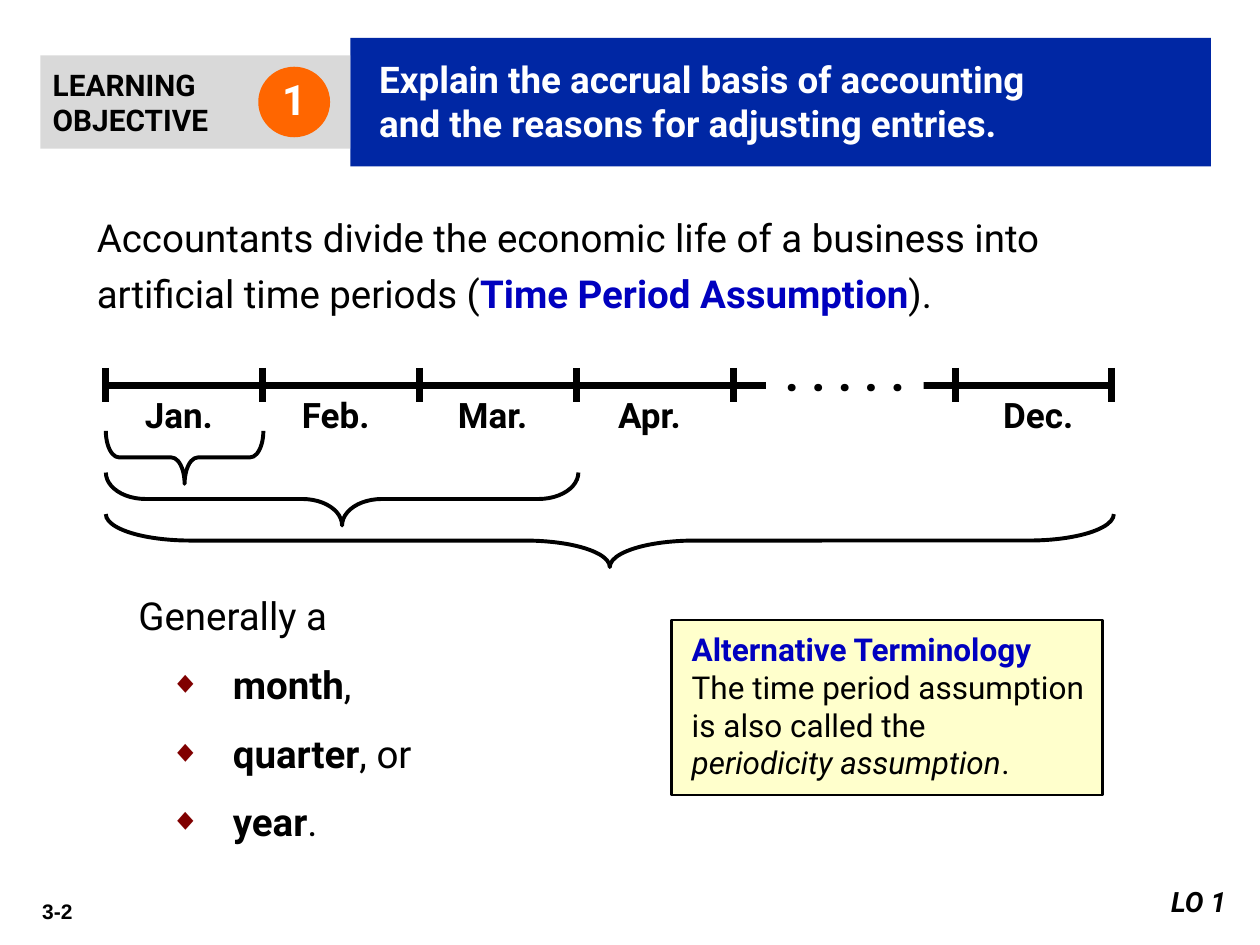
from dataclasses import dataclass

from lxml import etree
from pptx import Presentation
from pptx.dml.color import RGBColor
from pptx.enum.shapes import MSO_CONNECTOR, MSO_SHAPE
from pptx.enum.text import MSO_ANCHOR, MSO_AUTO_SIZE, PP_ALIGN
from pptx.oxml.ns import qn
from pptx.util import Inches, Pt

BLACK = RGBColor(0x00, 0x00, 0x00)
WHITE = RGBColor(0xFF, 0xFF, 0xFF)
NAVY = RGBColor(0x00, 0x27, 0xA4)
BLUE = RGBColor(0x00, 0x00, 0xBF)
GREY = RGBColor(0xD9, 0xD9, 0xD9)
ORANGE = RGBColor(0xFF, 0x66, 0x00)
CREAM = RGBColor(0xFF, 0xFF, 0xCC)

LEFT, CENTER, RIGHT = PP_ALIGN.LEFT, PP_ALIGN.CENTER, PP_ALIGN.RIGHT
TOP, MIDDLE = MSO_ANCHOR.TOP, MSO_ANCHOR.MIDDLE
NO_AUTOFIT = MSO_AUTO_SIZE.NONE
RECTANGLE, OVAL, BRACE = MSO_SHAPE.RECTANGLE, MSO_SHAPE.OVAL, MSO_SHAPE.LEFT_BRACE
STRAIGHT = MSO_CONNECTOR.STRAIGHT

AXIS_TOP, AXIS_Y, AXIS_BOTTOM = 2.92, 3.06, 3.19
AXIS_LEFT, DECEMBER_LEFT, MONTH_WIDTH = 0.84, 7.58, 1.245
BRACE_DEPTH = 0.42


@dataclass
class Span:
    text: str
    bold: bool = False
    italic: bool = False
    color: RGBColor | None = None


@dataclass
class Line:
    spans: list[Span]
    bullet: bool = False


@dataclass
class Style:
    size: float
    color: RGBColor = BLACK
    align: PP_ALIGN = LEFT
    anchor: MSO_ANCHOR = TOP
    insets: tuple = (0.1, 0.05, 0.1, 0.05)
    wrap: bool = True
    spacing: float = 1.0
    gap: float = 0
    font: str = "Roboto"


@dataclass
class Month:
    name: str
    left: float


@dataclass
class Period:
    width: float
    top: float
    curve: float


def add_bullet(para) -> None:
    properties = para._p.get_or_add_pPr()
    properties.set("marL", str(Inches(0.75)))
    properties.set("indent", str(Inches(-0.5)))
    color = etree.SubElement(properties, qn("a:buClr"))
    etree.SubElement(color, qn("a:srgbClr"), val="800000")
    etree.SubElement(properties, qn("a:buSzPct"), val="80000")
    etree.SubElement(properties, qn("a:buFont"), typeface="Arial")
    etree.SubElement(properties, qn("a:buChar"), char="◆")


def write(shape, lines: list[Line], style: Style) -> None:
    frame = shape.text_frame
    frame.auto_size = NO_AUTOFIT
    frame.word_wrap = style.wrap
    frame.vertical_anchor = style.anchor
    (frame.margin_left, frame.margin_top,
     frame.margin_right, frame.margin_bottom) = map(Inches, style.insets)
    for index, line in enumerate(lines):
        para = frame.paragraphs[0] if index == 0 else frame.add_paragraph()
        if line.bullet:
            add_bullet(para)
        para.alignment = style.align
        para.line_spacing = style.spacing
        para.space_before = Pt(style.gap if index else 0)
        for span in line.spans:
            run = para.add_run()
            run.text = span.text
            run.font.name = style.font
            run.font.size = Pt(style.size)
            run.font.bold = span.bold
            run.font.italic = span.italic
            run.font.color.rgb = span.color or style.color


def add_text(page, place: tuple, lines: list[Line], style: Style) -> None:
    write(page.shapes.add_textbox(*map(Inches, place)), lines, style)


def add_box(page, kind, place: tuple, fill: RGBColor, lines: list[Line],
            style: Style, border: float = 0) -> None:
    box = page.shapes.add_shape(kind, *map(Inches, place))
    box.shadow.inherit = False
    box.fill.solid()
    box.fill.fore_color.rgb = fill
    if border:
        box.line.color.rgb = BLACK
        box.line.width = Pt(border)
    else:
        box.line.fill.background()
    write(box, lines, style)


def add_line(page, start: tuple, end: tuple) -> None:
    line = page.shapes.add_connector(STRAIGHT, *map(Inches, start + end))
    line.line.color.rgb = BLACK
    line.line.width = Pt(4)
    etree.SubElement(line._element.spPr, qn("a:effectLst"))


def add_brace(page, period: Period) -> None:
    left = AXIS_LEFT + (period.width - BRACE_DEPTH) / 2
    top = period.top + (BRACE_DEPTH - period.width) / 2
    brace = page.shapes.add_shape(
        BRACE, *map(Inches, (left, top, BRACE_DEPTH, period.width)))
    brace.rotation = 270
    brace.adjustments[0] = period.curve
    brace.adjustments[1] = 0.5
    brace.shadow.inherit = False
    brace.fill.background()
    brace.line.color.rgb = BLACK
    brace.line.width = Pt(2.25)


def bold_lines(*texts: str) -> list[Line]:
    return [Line([Span(text, bold=True)]) for text in texts]


def add_header(page) -> None:
    title = page.shapes.title
    title.left, title.top, title.width, title.height = map(
        Inches, (2.78, 0.3, 6.83, 1.02))
    title.fill.solid()
    title.fill.fore_color.rgb = NAVY
    write(title, bold_lines("Explain the accrual basis of accounting",
                            "and the reasons for adjusting entries."),
          Style(21, WHITE, anchor=MIDDLE, insets=(0.23, 0.03, 0.1, 0.05)))
    add_box(page, RECTANGLE, (0.32, 0.44, 2.46, 0.74), GREY,
            bold_lines("LEARNING", "OBJECTIVE"),
            Style(17, anchor=MIDDLE, wrap=False))
    add_box(page, OVAL, (2.05, 0.53, 0.57, 0.56), ORANGE, bold_lines("1"),
            Style(24, WHITE, CENTER, MIDDLE, (0.09, 0, 0.09, 0.05)))


def add_timeline(page) -> None:
    add_line(page, (AXIS_LEFT, AXIS_Y), (DECEMBER_LEFT + MONTH_WIDTH, AXIS_Y))
    add_box(page, RECTANGLE, (6.08, 2.92, 1.25, 0.33), WHITE,
            bold_lines(". . . . ."),
            Style(28, align=CENTER, anchor=MIDDLE, wrap=False, spacing=0.15))
    ticks = [AXIS_LEFT + MONTH_WIDTH * index for index in range(5)]
    for x in ticks + [DECEMBER_LEFT, DECEMBER_LEFT + MONTH_WIDTH]:
        add_line(page, (x, AXIS_TOP), (x, AXIS_BOTTOM))
    months = [Month(name, tick + 0.16)
              for name, tick in zip(("Jan.", "Feb.", "Mar.", "Apr."), ticks)]
    for month in months + [Month("Dec.", 7.82)]:
        add_text(page, (month.left, 3.07, 0.84, 0.43), bold_lines(month.name),
                 Style(20, align=CENTER))
    for period in (Period(1.25, 3.42, 0.25), Period(3.75, 3.75, 0.75),
                   Period(8, 4.08, 1.6)):
        add_brace(page, period)


def add_body(page) -> None:
    body = Style(22, spacing=1.2, gap=7.5)
    add_text(page, (0.67, 1.58, 8.5, 0.99), [Line([
        Span("Accountants divide the economic life of a business into "
             "artificial time periods ("),
        Span("Time Period Assumption", bold=True, color=BLUE),
        Span(").")])], body)
    periods = (("month", ","), ("quarter", ", or"), ("year", "."))
    add_text(page, (1, 4.58, 4.08, 2.17), [Line([Span("Generally a")])] + [
        Line([Span(name, bold=True), Span(ending)], bullet=True)
        for name, ending in periods], body)
    add_box(page, RECTANGLE, (5.33, 4.92, 3.42, 1.39), CREAM, [
        Line([Span("Alternative Terminology", bold=True, color=BLUE)]),
        Line([Span("The time period assumption")]),
        Line([Span("is also called the")]),
        Line([Span("periodicity assumption", italic=True), Span(".")]),
    ], Style(18, insets=(0.16, 0.08, 0.1, 0.1)), border=1.5)


def add_footer(page) -> None:
    add_text(page, (0.08, 7.08, 0.75, 0.3), bold_lines("3-2"),
             Style(12, align=CENTER, font="Arial"))
    add_box(page, RECTANGLE, (8.83, 6.97, 1, 0.37), WHITE,
            [Line([Span("LO 1", bold=True, italic=True)])],
            Style(16, align=RIGHT))


def main() -> None:
    deck = Presentation()
    deck.slide_width, deck.slide_height = Inches(10), Inches(7.5)
    page = deck.slides.add_slide(deck.slide_layouts[5])
    add_header(page)
    add_body(page)
    add_timeline(page)
    add_footer(page)
    deck.save("out.pptx")


if __name__ == "__main__":
    main()
